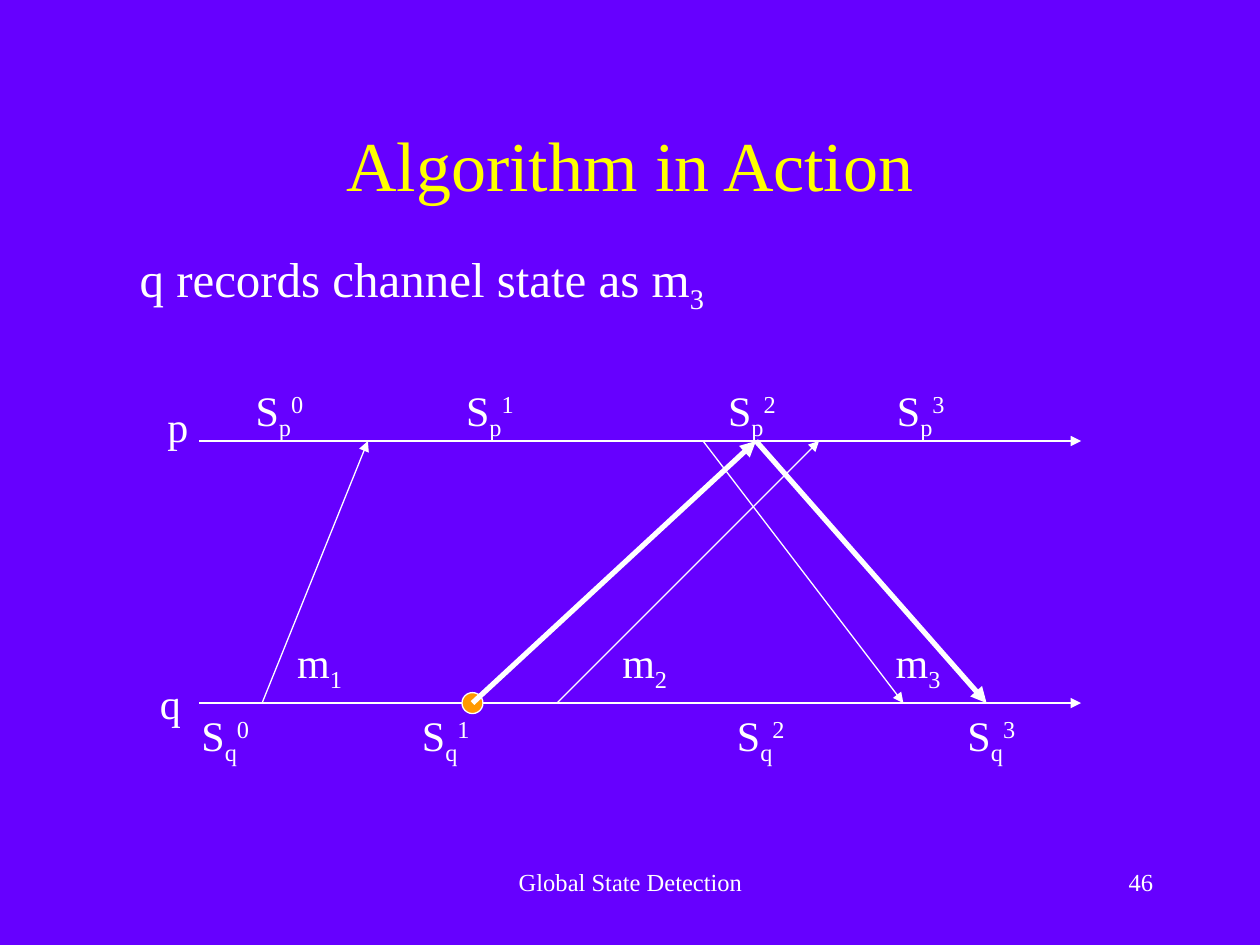
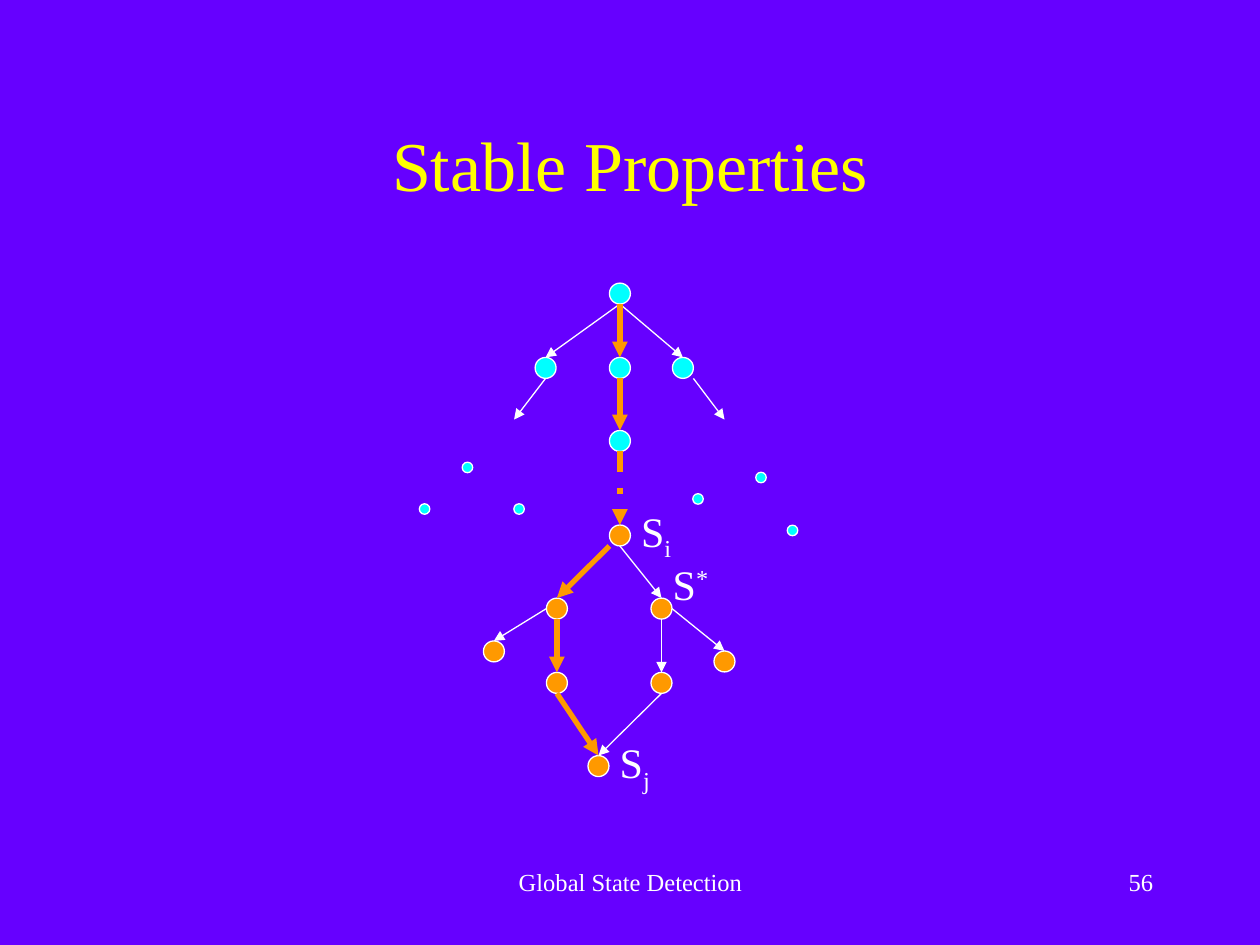
"""Builds two slides on global state detection."""
from dataclasses import dataclass

from lxml import etree
from pptx import Presentation
from pptx.dml.color import RGBColor
from pptx.enum.dml import MSO_LINE
from pptx.enum.shapes import MSO_CONNECTOR, MSO_SHAPE
from pptx.enum.text import MSO_ANCHOR, MSO_AUTO_SIZE, PP_ALIGN
from pptx.oxml.ns import qn
from pptx.util import Inches, Pt

LEFT, MID, RIGHT = PP_ALIGN.LEFT, PP_ALIGN.CENTER, PP_ALIGN.RIGHT
TOP, CENTER = MSO_ANCHOR.TOP, MSO_ANCHOR.MIDDLE
FIT, FIXED = MSO_AUTO_SIZE.SHAPE_TO_FIT_TEXT, MSO_AUTO_SIZE.NONE
DASH = MSO_LINE.DASH_DOT
DOT = MSO_SHAPE.FLOWCHART_CONNECTOR
LINE = MSO_CONNECTOR.STRAIGHT
BELOW, BESIDE, BEFORE = (0, 1), (1, 0), (-1, 0)


@dataclass(frozen=True)
class Theme:
    """Colours, type sizes and weights of the deck."""
    back: RGBColor = RGBColor(0x66, 0x00, 0xFF)
    head: RGBColor = RGBColor(0xFF, 0xFF, 0x00)
    ink: RGBColor = RGBColor(0xFF, 0xFF, 0xFF)
    hot: RGBColor = RGBColor(0xFF, 0x99, 0x00)
    cool: RGBColor = RGBColor(0x00, 0xFF, 0xFF)
    face: str = "Times New Roman"
    title: int = 40
    lead: int = 28
    label: int = 24
    foot: int = 14
    thin: float = 0.75
    bold: float = 3
    node: float = 1 / 6
    speck: float = 1 / 12


def put(item, **vals):
    """Set each named value on the item."""
    for key, val in vals.items():
        setattr(item, key, val)


class Deck:
    """Holds the theme and the current slide."""

    def __init__(self, theme):
        """Start an empty deck."""
        self.theme = theme
        self.show = Presentation()
        put(self.show, slide_width=Inches(10), slide_height=Inches(7.5))

    def page(self, title, number):
        """Add a slide with its title and footer."""
        look = self.theme
        self.slide = self.show.slides.add_slide(self.show.slide_layouts[6])
        fill = self.slide.background.fill
        fill.solid()
        fill.fore_color.rgb = look.back
        self.text((0.75, 0.67, 8.5, 1.25), title, size=look.title,
                  color=look.head, align=MID, anchor=CENTER)
        self.text((3.42, 6.83, 3.17, 0.5), "Global State Detection",
                  size=look.foot, align=MID)
        self.text((7.17, 6.83, 2.08, 0.5), number, size=look.foot, align=RIGHT)

    def text(self, box, words, sub="", sup="", size=None, color=None,
             align=LEFT, anchor=TOP, wrap=True):
        """Add text with an optional subscript and superscript."""
        look = self.theme
        frame = self.slide.shapes.add_textbox(*map(Inches, box)).text_frame
        put(frame, word_wrap=wrap, vertical_anchor=anchor,
            auto_size=FIXED if wrap else FIT)
        para = frame.paragraphs[0]
        para.alignment = align
        for part, shift in ((words, 0), (sub, -25000), (sup, 30000)):
            if not part:
                continue
            run = para.add_run()
            run.text = part
            put(run.font, name=look.face, size=Pt(size or look.label))
            run.font.color.rgb = color or look.ink
            if shift:
                run.font._element.set("baseline", str(shift))

    def label(self, x, y, words, sub="", sup="", width=0.58, height=0.56, size=None):
        """Add a label that does not wrap."""
        self.text((x, y, width, height), words, sub, sup, size, wrap=False)

    def dot(self, x, y, color, size=None):
        """Add a circle centred on a point."""
        size = size or self.theme.node
        box = (x - size / 2, y - size / 2, size, size)
        dot = self.slide.shapes.add_shape(DOT, *map(Inches, box))
        dot.shadow.inherit = False
        dot.fill.solid()
        dot.fill.fore_color.rgb = color
        dot.line.color.rgb = self.theme.ink
        dot.line.width = Pt(self.theme.thin)
        return dot

    def arrow(self, start, end, color=None, weight=None, dash=None, goal=None):
        """Add an arrow, joined to the top of the goal if there is one."""
        look = self.theme
        arrow = self.slide.shapes.add_connector(LINE, *map(Inches, (*start, *end)))
        if goal is not None:
            arrow.end_connect(goal, 0)
        arrow.line.color.rgb = color or look.ink
        put(arrow.line, width=Pt(weight or look.thin), dash_style=dash)
        tail = etree.SubElement(arrow.line._get_or_add_ln(), qn("a:tailEnd"))
        tail.set("type", "triangle")
        etree.SubElement(arrow._element.spPr, qn("a:effectLst"))


def action(deck):
    """Draw the time lines of p and q and their messages."""
    look = deck.theme
    deck.page("Algorithm in Action", "46")
    deck.label(1.01, 1.92, "q records channel state as m", "3",
               width=4.7, height=0.63, size=look.lead)
    rows = {"p": 3.5, "q": 5.58}
    for y in rows.values():
        deck.arrow((1.58, y), (8.58, y))
    deck.label(1.23, 3.13, "p", width=0.36, height=0.5)
    deck.label(1.17, 5.33, "q", width=0.36, height=0.5)
    states = {"p": (3, (1.93, 3.6, 5.68, 7.02)),
              "q": (5.58, (1.5, 3.25, 5.75, 7.58))}
    for name, (y, places) in states.items():
        for step, x in enumerate(places):
            deck.label(x, y, "S", name, str(step))
    for step, x in enumerate((2.26, 4.84, 7.01), 1):
        deck.label(x, 5, "m", str(step))
    deck.dot(3.75, rows["q"], look.hot)
    sends = (("q", 2.08, "p", 2.92, look.thin), ("p", 5.58, "q", 7.17, look.thin),
             ("q", 4.42, "p", 6.5, look.thin), ("q", 3.75, "p", 6, look.bold),
             ("p", 6, "q", 7.83, look.bold))
    for source, begin, target, end, weight in sends:
        deck.arrow((begin, rows[source]), (end, rows[target]), weight=weight)


def stable(deck):
    """Draw the graph of states reached from the root."""
    look = deck.theme
    deck.page("Stable Properties", "56")
    early = {"root": (4.92, 2.33), "west": (4.33, 2.92), "mid": (4.92, 2.92),
             "east": (5.42, 2.92), "low": (4.92, 3.5)}
    late = {"si": (4.92, 4.25), "left": (4.42, 4.83), "star": (5.25, 4.83),
            "far": (3.92, 5.17), "out": (5.75, 5.25), "next": (4.42, 5.42),
            "side": (5.25, 5.42), "sj": (4.75, 6.08)}
    spots = early | late
    nodes = {name: deck.dot(*spot, look.cool if name in early else look.hot)
             for name, spot in spots.items()}
    for x, y in ((3.71, 3.71), (3.37, 4.04), (4.12, 4.04),
                 (5.54, 3.96), (6.04, 3.79), (6.29, 4.21)):
        deck.dot(x, y, look.cool, look.speck)

    def leave(name, side):
        """Give the point where an arrow leaves a node."""
        return [at + step * look.node / 2 for at, step in zip(spots[name], side)]

    path = {"color": look.hot, "weight": look.bold}
    links = (("root", "west", BELOW, {}), ("root", "east", BELOW, {}),
             ("root", "mid", BELOW, path), ("mid", "low", BELOW, path),
             ("low", "si", BELOW, path | {"dash": DASH}),
             ("si", "left", (-1, 1), path), ("si", "star", BELOW, {}),
             ("left", "far", BEFORE, {}), ("left", "next", BELOW, path),
             ("star", "out", BESIDE, {}), ("star", "side", BELOW, {}),
             ("next", "sj", BELOW, path), ("side", "sj", BELOW, {}))
    for source, target, side, style in links:
        deck.arrow(leave(source, side), leave(target, (0, -1)),
                   goal=nodes[target], **style)
    deck.arrow(leave("west", BELOW), (4.08, 3.33))
    deck.arrow(leave("east", (1, 1)), (5.75, 3.33))
    deck.label(4.99, 3.96, "S", "i", width=0.44)
    deck.label(4.82, 5.8, "S", "j", width=0.44)
    deck.label(5.24, 4.38, "S", sup="*", width=0.48, height=0.5)


def main():
    """Build and save the deck."""
    deck = Deck(Theme())
    action(deck)
    stable(deck)
    deck.show.save("out.pptx")


if __name__ == "__main__":
    main()
